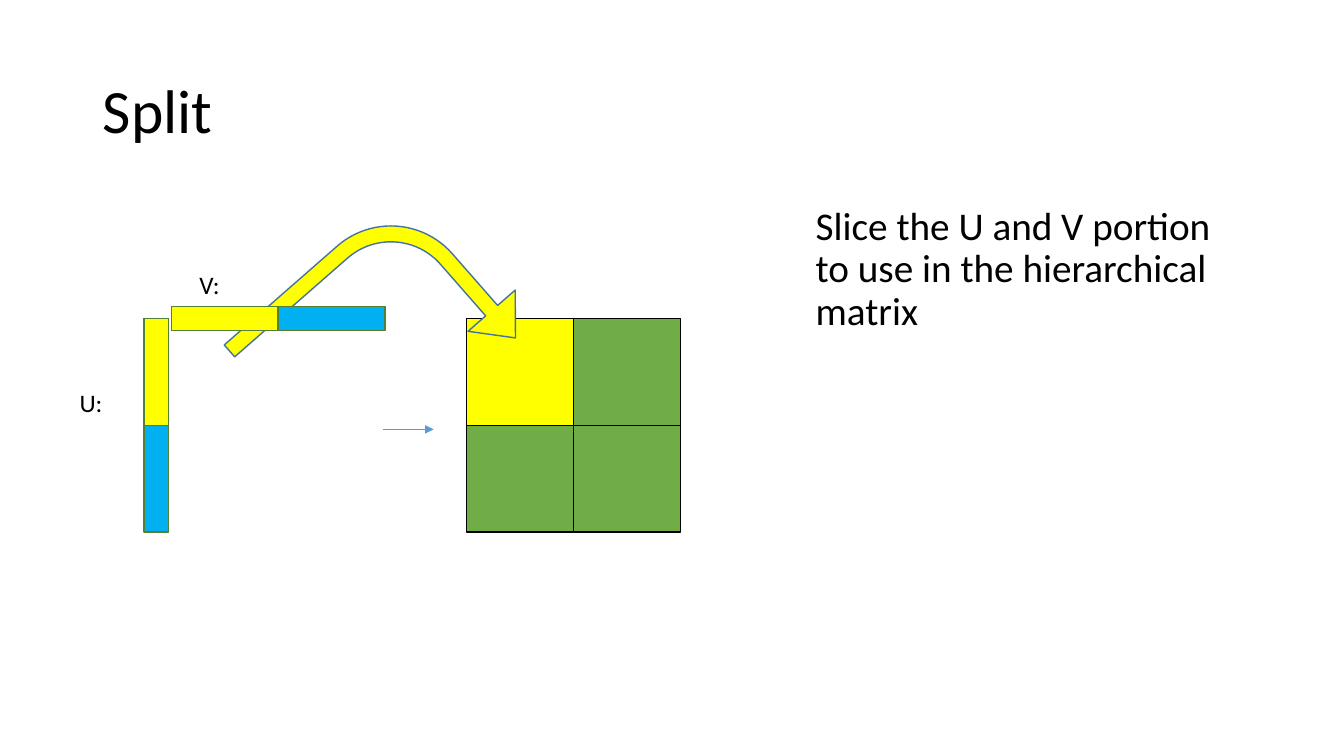
from dataclasses import dataclass

from lxml import etree
from pptx import Presentation
from pptx.dml.color import RGBColor
from pptx.enum.shapes import MSO_CONNECTOR as Connector, MSO_SHAPE as Shape
from pptx.enum.text import MSO_ANCHOR as Anchor, MSO_AUTO_SIZE as AutoSize, PP_ALIGN as Align
from pptx.oxml.ns import qn
from pptx.util import Inches, Pt


@dataclass(frozen=True)
class Theme:
    font: str = "Calibri"
    title_size: int = 44
    body_size: int = 28
    label_size: int = 18
    black: str = "000000"
    yellow: str = "FFFF00"
    blue: str = "00B0F0"
    green: str = "70AD47"
    dark_green: str = "538035"
    dark_blue: str = "43739E"
    arrow_blue: str = "5B9BD5"


theme = Theme()

# Content
TITLE = "Split"
BODY = "Slice the U and V portion to use in the hierarchical matrix"
LABELS = [("U:", 0.69, 3.79), ("V:", 1.88, 2.62)]
MATRIX = [[theme.yellow, theme.green], [theme.green, theme.green]]

# Geometry in inches
CELL = 1.06
BAR = 0.24
MATRIX_LEFT, MATRIX_TOP = 4.63, 3.16
U_LEFT = 1.43
V_LEFT, V_TOP = 1.7, 3.04

deck = Presentation()
deck.slide_width, deck.slide_height = Inches(13.33), Inches(7.5)
page = deck.slides.add_slide(deck.slide_layouts[1])


def place(box, left, top, width, height):
    box.left, box.top = Inches(left), Inches(top)
    box.width, box.height = Inches(width), Inches(height)


def write(box, text, size):
    box.text_frame.text = text
    para = box.text_frame.paragraphs[0]
    para.alignment = Align.LEFT
    para.font.name, para.font.size = theme.font, Pt(size)
    para.font.color.rgb = RGBColor.from_string(theme.black)
    return para


def draw(kind, left, top, width, height, fill, line):
    shape = page.shapes.add_shape(
        kind, Inches(left), Inches(top), Inches(width), Inches(height))
    shape.shadow.inherit = False
    shape.fill.solid()
    shape.fill.fore_color.rgb = RGBColor.from_string(fill)
    shape.line.color.rgb = RGBColor.from_string(line)
    shape.line.width = Pt(1)
    return shape


# Title and body
title, body = page.placeholders
place(title, 0.92, 0.4, 11.5, 1.45)
place(body, 7.99, 2, 4.43, 4.76)
for box, text, size, anchor in [(title, TITLE, theme.title_size, Anchor.MIDDLE),
                                (body, BODY, theme.body_size, Anchor.TOP)]:
    para = write(box, text, size)
    para.line_spacing = 0.9
    box.text_frame.auto_size = AutoSize.NONE
    box.text_frame.vertical_anchor = anchor
body_para = body.text_frame.paragraphs[0]
body_para.space_before = Pt(10)
bullet_props = body_para._p.get_or_add_pPr()
bullet_props.set("marL", "0")
bullet_props.set("indent", "0")
etree.SubElement(bullet_props, qn("a:buNone"))
# Paragraph properties need the bullet before the run defaults
bullet_props.append(bullet_props.find(qn("a:defRPr")))

# Hierarchical matrix
for row, fills in enumerate(MATRIX):
    for column, fill in enumerate(fills):
        draw(Shape.RECTANGLE, MATRIX_LEFT + column * CELL, MATRIX_TOP + row * CELL,
             CELL, CELL, fill, theme.black)

# Bent arrow from the slices to the first block
bent_arrow = draw(Shape.BENT_ARROW, 2.86, 2.02, 1.85, 2.53, theme.yellow, theme.dark_blue)
bent_arrow.rotation = 48.8
for index, value in enumerate([0.085, 0.168, 0.194, 0.438]):
    bent_arrow.adjustments[index] = value

# U and V bars, each with its first half sliced off in yellow
for length, fill in [(2 * CELL, theme.blue), (CELL, theme.yellow)]:
    draw(Shape.RECTANGLE, U_LEFT, MATRIX_TOP, BAR, length, fill, theme.dark_green)
    draw(Shape.RECTANGLE, V_LEFT, V_TOP, length, BAR, fill, theme.dark_green)

# Small arrow towards the matrix
arrow = page.shapes.add_connector(
    Connector.STRAIGHT, Inches(3.8), Inches(4.26), Inches(4.3), Inches(4.26))
arrow.line.color.rgb = RGBColor.from_string(theme.arrow_blue)
arrow.line.width = Pt(0.5)
etree.SubElement(arrow.line._get_or_add_ln(), qn("a:tailEnd"), type="triangle")
etree.SubElement(arrow._element.spPr, qn("a:effectLst"))

# Bar labels
for text, left, top in LABELS:
    label = page.shapes.add_textbox(Inches(left), Inches(top), Inches(0.52), Inches(0.4))
    label.text_frame.word_wrap = True
    label.text_frame.auto_size = AutoSize.SHAPE_TO_FIT_TEXT
    write(label, text, theme.label_size)

deck.save("out.pptx")
